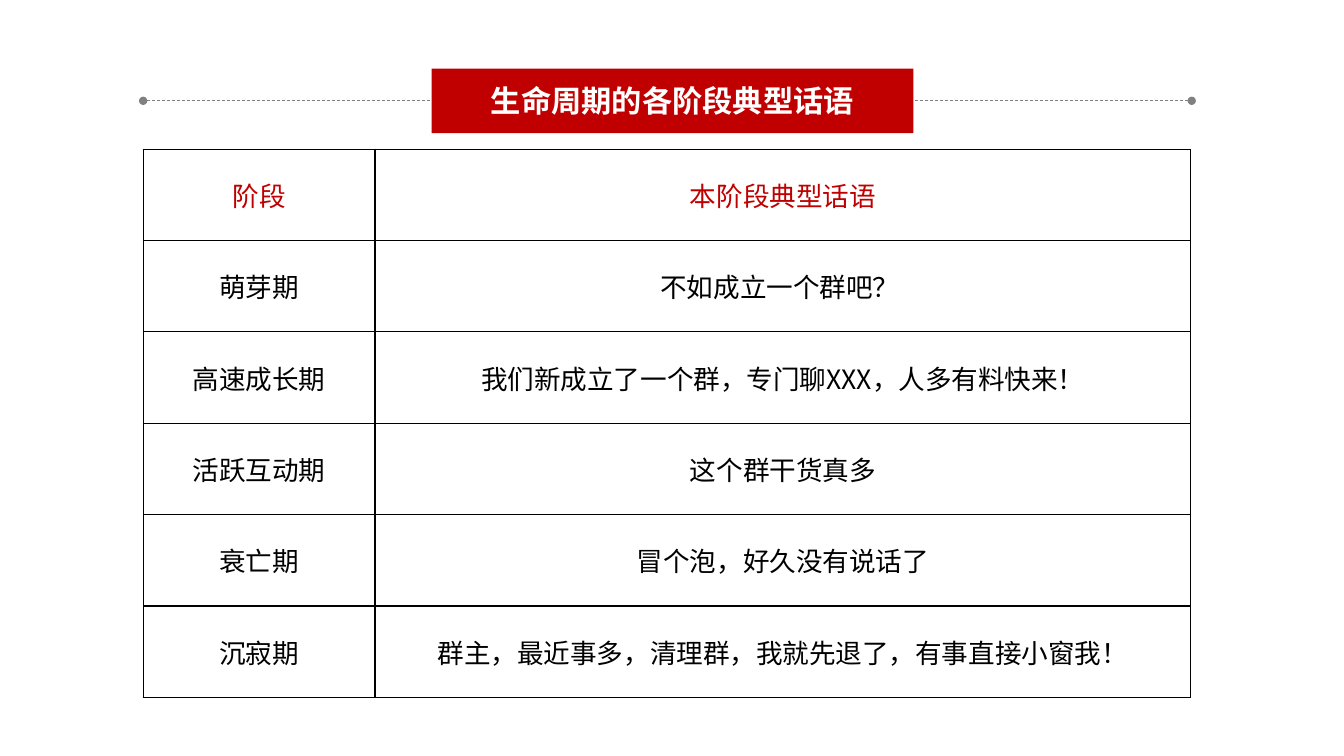
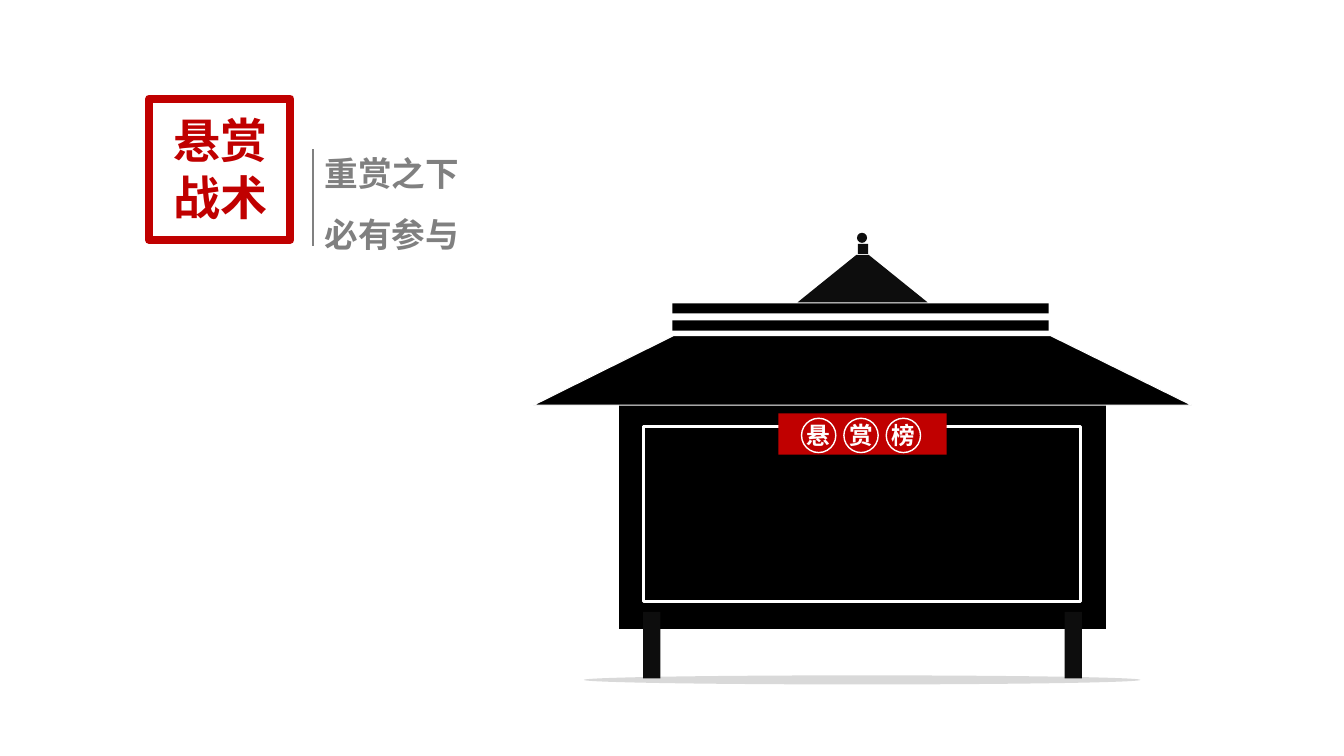
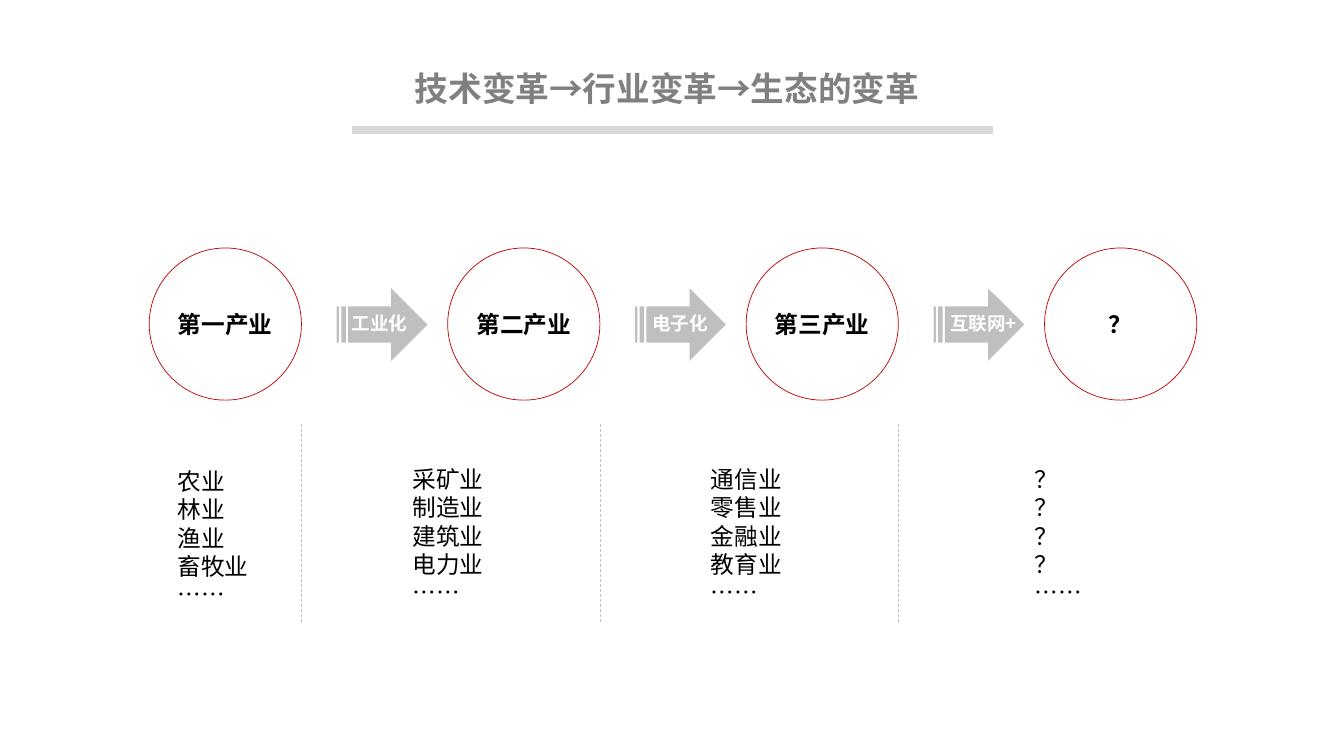
from lxml.etree import SubElement
from pptx import Presentation
from pptx.dml.color import RGBColor
from pptx.enum.dml import MSO_LINE as Dash
from pptx.enum.shapes import MSO_CONNECTOR as Link, MSO_SHAPE as Kind
from pptx.enum.text import MSO_ANCHOR as Anchor, MSO_AUTO_SIZE as Fit, PP_ALIGN as Align
from pptx.oxml.ns import qn
from pptx.util import Inches, Pt

FONT = "Noto Sans CJK SC"
RED = RGBColor(0xC0, 0x00, 0x00)
BLACK = RGBColor(0x00, 0x00, 0x00)
INK = RGBColor(0x0D, 0x0D, 0x0D)
GRAY = RGBColor(0x80, 0x80, 0x80)
SILVER = RGBColor(0xBF, 0xBF, 0xBF)
PALE = RGBColor(0xD9, 0xD9, 0xD9)
WHITE = RGBColor(0xFF, 0xFF, 0xFF)

TITLE_ONLY, TITLE_BODY, FOUR_TEXTS = 5, 1, 4

PHRASES = [
    ("阶段", "本阶段典型话语"),
    ("萌芽期", "不如成立一个群吧？ "),
    ("高速成长期", "我们新成立了一个群，专门聊XXX，人多有料快来！"),
    ("活跃互动期", "这个群干货真多"),
    ("衰亡期", "冒个泡，好久没有说话了"),
    ("沉寂期", "群主，最近事多，清理群，我就先退了，有事直接小窗我！"),
]

# name, trades, and the list's left, top and width within its column
STAGES = [
    ("第一产业", "农业 林业 渔业 畜牧业 ……", (0.18, 2.12, 1.1)),
    ("第二产业", "采矿业 制造业 建筑业 电力业 ……", (-0.45, 2.1, 1.58)),
    ("第三产业", "通信业 零售业 金融业 教育业 ……", (-0.45, 2.1, 1.58)),
    ("？", "？ ？ ？ ？ ……", (-0.2, 2.1, 1.58)),
]

# label and its left within the arrow
DRIVERS = [("工业化", -0.14), ("电子化", -0.12), ("互联网+", -0.07)]


def put(frame, *lines, size, color=BLACK, bold=False, align=Align.LEFT,
        anchor=Anchor.TOP, spacing=None, wrap=True):
    """Fill a text frame with one paragraph per line."""
    frame.auto_size = Fit.NONE
    frame.word_wrap = wrap
    frame.vertical_anchor = anchor
    for i, line in enumerate(lines):
        para = frame.add_paragraph() if i else frame.paragraphs[0]
        props = para._p.get_or_add_pPr()
        props.set("marL", "0")
        props.set("indent", "0")
        SubElement(props, qn("a:buNone"))
        para.alignment = align
        para.space_before = Pt(0)
        if spacing:
            para.line_spacing = spacing
        run = para.add_run()
        run.text = line
        font = run.font
        font.size, font.bold, font.name = Pt(size), bold, FONT
        font.color.rgb = color
        SubElement(run._r.get_or_add_rPr(), qn("a:ea"), typeface=FONT)


def place(shape, x, y, w, h):
    shape.left, shape.top, shape.width, shape.height = map(Inches, (x, y, w, h))
    return shape


def paint(shape, fill=None, line=None, width=1):
    shape.shadow.inherit = False
    if fill is None:
        shape.fill.background()
    else:
        shape.fill.solid()
        shape.fill.fore_color.rgb = fill
    if line is None:
        shape.line.fill.background()
    else:
        shape.line.color.rgb = line
        shape.line.width = Pt(width)
    return shape


def draw(tree, kind, x, y, w, h, **look):
    return paint(tree.add_shape(kind, *map(Inches, (x, y, w, h))), **look)


def rule(tree, x1, y1, x2, y2, color, width, dash=False, dot=False):
    """Draw a straight line, with a round dot at its start on request."""
    link = tree.add_connector(Link.STRAIGHT, *map(Inches, (x1, y1, x2, y2)))
    link.line.color.rgb = color
    link.line.width = Pt(width)
    if dash:
        link.line.dash_style = Dash.DASH
    if dot:
        SubElement(link.line._get_or_add_ln(), qn("a:headEnd"), type="oval")
    SubElement(link._element.spPr, qn("a:effectLst"))
    return link


def new_slide(deck, layout):
    return deck.slides.add_slide(deck.slide_layouts[layout])


def banner(slide, text, x, y, w):
    """Place a red title bar in the middle of a dashed line."""
    bar_w, bar_h = 4.78, 0.64
    title = place(slide.shapes.title, x + 2.86, y, bar_w, bar_h)
    title.fill.solid()
    title.fill.fore_color.rgb = RED
    put(title.text_frame, text, size=21.6, color=WHITE, bold=True,
        align=Align.CENTER, anchor=Anchor.MIDDLE)
    mid = y + bar_h / 2
    for end, side in ((x, 1), (x + w, 3)):
        link = rule(slide.shapes, end, mid, x + w / 2, mid, GRAY, 0.5,
                    dash=True, dot=True)
        link.end_connect(title, side)


def border(cell):
    props = cell._tc.get_or_add_tcPr()
    for side in ("lnL", "lnR", "lnT", "lnB"):
        edge = SubElement(props, qn("a:" + side), w=str(Pt(1)))
        fill = SubElement(edge, qn("a:solidFill"))
        SubElement(fill, qn("a:srgbClr"), val=str(BLACK))


def phrase_table(slide, x, y, w, h):
    table = slide.shapes.add_table(
        len(PHRASES), 2, *map(Inches, (x, y, w, h))).table
    table.first_row = table.horz_banding = False
    table.columns[0].width = Inches(2.3)
    table.columns[1].width = Inches(w - 2.3)
    for r, row in enumerate(PHRASES):
        for c, text in enumerate(row):
            cell = table.cell(r, c)
            border(cell)
            cell.fill.background()
            cell.margin_left = cell.margin_right = Inches(0.09)
            cell.margin_top = cell.margin_bottom = 0
            cell.vertical_anchor = Anchor.MIDDLE
            put(cell.text_frame, text, size=19, align=Align.CENTER,
                anchor=Anchor.MIDDLE, color=BLACK if r else RED)


def stamp(slide, x, y):
    """Place the framed title with its motto on the right."""
    title = place(slide.shapes.title, x, y + 0.08, 1.42, 1.23)
    put(title.text_frame, "悬赏战术", size=33.6, color=RED, bold=True,
        align=Align.CENTER)
    draw(slide.shapes, Kind.RECTANGLE, x, y, 1.4, 1.4, line=RED, width=6)
    rule(slide.shapes, x + 1.62, y + 0.5, x + 1.62, y + 1.46, GRAY, 1.5)
    motto = place(slide.placeholders[1], x + 1.64, y + 0.29, 3, 1.31)
    put(motto.text_frame, "重赏之下", "必有参与", size=24, color=GRAY,
        bold=True, spacing=1.5)


def roof(tree, x, y, w, h):
    outline = tree.build_freeform(Inches(x), Inches(y + h))
    corners = [(x + 1.39, y), (x + w - 1.4, y), (x + w, y + h)]
    outline.add_line_segments([tuple(map(Inches, c)) for c in corners])
    paint(outline.convert_to_shape(), fill=BLACK, line=WHITE, width=0)


def pavilion(slide, x, y):
    tree = slide.shapes.add_group_shape().shapes
    box, oval = Kind.RECTANGLE, Kind.OVAL
    draw(tree, oval, x + 0.5, y + 4.39, 5.52, 0.09, fill=PALE)
    draw(tree, box, x + 0.85, y + 1.45, 4.83, 2.48, fill=BLACK)
    for dx in (1.09, 5.27):
        draw(tree, box, x + dx, y + 3.76, 0.17, 0.66, fill=INK)
    for dy in (0.7, 0.87):
        draw(tree, box, x + 1.38, y + dy, 3.73, 0.1, fill=BLACK)
    roof(tree, x, y + 1.02, 6.53, 0.69)
    top = draw(tree, Kind.TRAPEZOID, x + 2.62, y + 0.22, 1.29, 0.47, fill=INK)
    top.adjustments[0] = 1.24
    draw(tree, box, x + 3.22, y + 0.11, 0.1, 0.1, fill=INK)
    draw(tree, oval, x + 3.21, y, 0.1, 0.1, fill=INK)
    draw(tree, box, x + 1.09, y + 1.92, 4.34, 1.74, line=WHITE, width=2.25)
    draw(tree, box, x + 2.43, y + 1.79, 1.67, 0.41, fill=RED)
    for i, sign in enumerate("悬赏榜"):
        ring = draw(tree, oval, x + 2.66 + 0.42 * i, y + 1.84, 0.34, 0.34,
                    line=WHITE)
        put(ring.text_frame, sign, size=16.9, color=WHITE, bold=True,
            align=Align.CENTER, anchor=Anchor.MIDDLE, wrap=False)


def heading(slide, text, x, y, w):
    """Place a gray title over a thick pale line."""
    title = place(slide.shapes.title, x, y, w, 0.5)
    put(title.text_frame, text, size=24, color=GRAY, bold=True,
        align=Align.CENTER)
    rule(slide.shapes, x + 2.07, y + 0.67, x + 8.43, y + 0.67, PALE, 6)


def stage(slide, holder, x, y, name, trades, spot):
    """Place one circle and the list below it."""
    disc = draw(slide.shapes, Kind.OVAL, x, y, 1.51, 1.51, line=RED, width=0.5)
    put(disc.text_frame, name, size=16.9, bold=True, align=Align.CENTER,
        anchor=Anchor.MIDDLE, wrap=False)
    dx, dy, w = spot
    place(holder, x + dx, y + dy, w, 1.52)
    put(holder.text_frame, *trades.split(), size=16.9)


def driver(slide, x, y, label, dx):
    """Place one arrow with its label."""
    draw(slide.shapes, Kind.STRIPED_RIGHT_ARROW, x, y, 0.9, 0.72, fill=SILVER)
    note = place(slide.shapes.add_textbox(0, 0, 0, 0),
                 x + dx, y + 0.19, 1.13, 0.32)
    put(note.text_frame, label, size=13.2, color=WHITE, bold=True,
        align=Align.CENTER)


def chain(slide, x, y, pitch):
    """Place the stages in a row, with an arrow and a divider between."""
    for i, (name, trades, spot) in enumerate(STAGES):
        stage(slide, slide.placeholders[i + 1], x + pitch * i, y,
              name, trades, spot)
    for i, (label, dx) in enumerate(DRIVERS):
        left = x + pitch * i
        driver(slide, left + 1.86, y + 0.4, label, dx)
        rule(slide.shapes, left + 1.51, y + 1.75, left + 1.51, y + 3.71,
             SILVER, 0.5, dash=True)


def main():
    deck = Presentation()
    deck.slide_width, deck.slide_height = Inches(13.33), Inches(7.5)

    slide = new_slide(deck, TITLE_ONLY)
    banner(slide, "生命周期的各阶段典型话语", 1.42, 0.68, 10.4)
    phrase_table(slide, 1.42, 1.48, 10.39, 5.44)

    slide = new_slide(deck, TITLE_BODY)
    stamp(slide, 1.48, 0.98)
    pavilion(slide, 5.29, 2.31)

    slide = new_slide(deck, FOUR_TEXTS)
    heading(slide, "技术变革→行业变革→生态的变革", 1.42, 0.62, 10.39)
    chain(slide, 1.48, 2.46, 2.96)

    deck.save("out.pptx")


if __name__ == "__main__":
    main()
